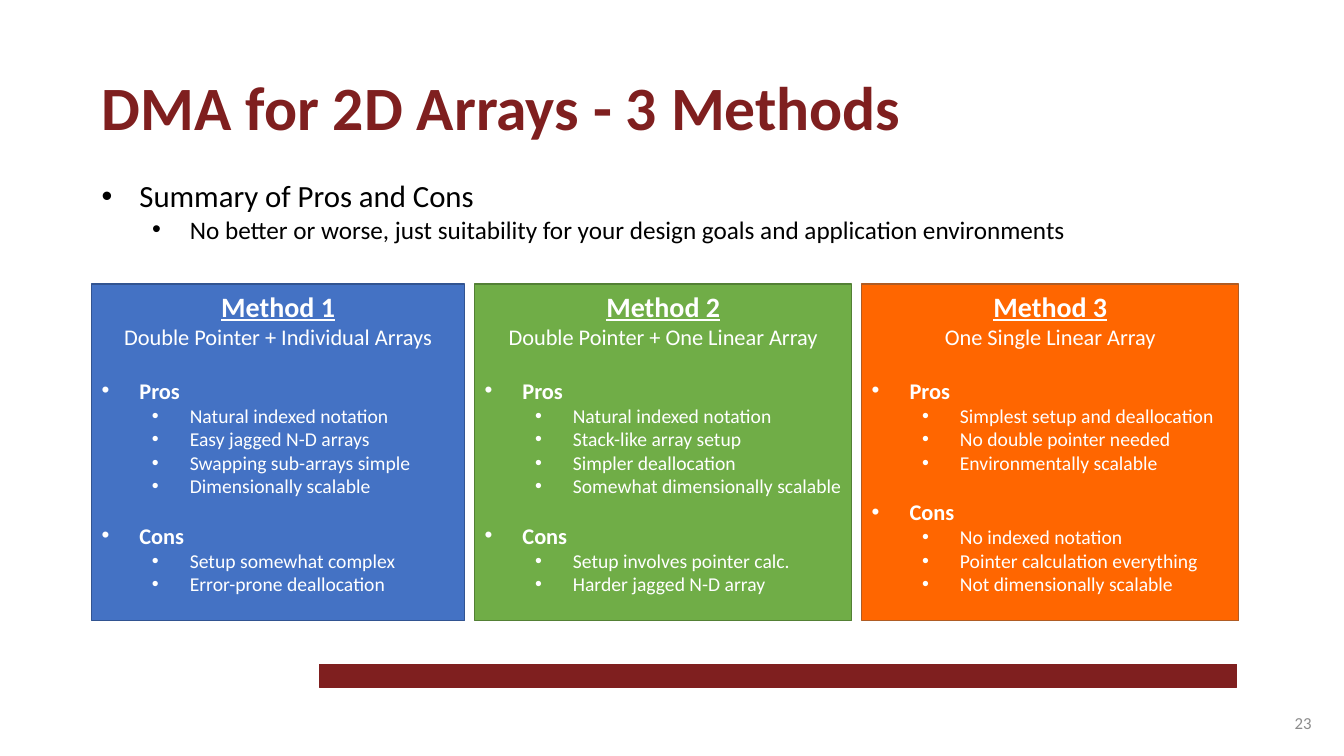
from lxml import etree
from pptx import Presentation
from pptx.dml.color import RGBColor
from pptx.enum.shapes import MSO_SHAPE
from pptx.enum.text import MSO_ANCHOR, PP_ALIGN
from pptx.oxml.ns import qn
from pptx.util import Pt

RECTANGLE = MSO_SHAPE.RECTANGLE
TOP, MIDDLE = MSO_ANCHOR.TOP, MSO_ANCHOR.MIDDLE
LEFT, CENTER, RIGHT = PP_ALIGN.LEFT, PP_ALIGN.CENTER, PP_ALIGN.RIGHT

COLORS = {
    "maroon": "7F1F1F", "black": "000000", "white": "FFFFFF", "gray": "8C8C8C",
    "blue": "4472C4", "blue edge": "325491",
    "green": "70AD47", "green edge": "538035",
    "orange": "FF6600", "orange edge": "AF5C24",
}

BULLET_HANG = 27
LEVEL_STEP = 36
PANEL_TOP, PANEL_HEIGHT, PANEL_GAP = 203, 240.5, 7.2
MARGIN = 65.5

# Name, subtitle, colour, panel width, pros, cons
METHODS = [
    ("Method 1", "Double Pointer + Individual Arrays", "blue", 266.4,
     ["Natural indexed notation", "Easy jagged N-D arrays",
      "Swapping sub-arrays simple", "Dimensionally scalable"],
     ["Setup somewhat complex", "Error-prone deallocation"]),
    ("Method 2", "Double Pointer + One Linear Array", "green", 269.3,
     ["Natural indexed notation", "Stack-like array setup",
      "Simpler deallocation", "Somewhat dimensionally scalable"],
     ["Setup involves pointer calc.", "Harder jagged N-D array"]),
    ("Method 3", "One Single Linear Array", "orange", 269.3,
     ["Simplest setup and deallocation", "No double pointer needed",
      "Environmentally scalable"],
     ["No indexed notation", "Pointer calculation everything",
      "Not dimensionally scalable"]),
]


class SlideBuilder:
    font_name = "Calibri"

    def __init__(self, slide):
        self.slide = slide

    def color(self, name):
        return RGBColor.from_string(COLORS[name])

    def rectangle(self, left, top, width, height, fill, edge):
        """Add a filled rectangle and return its text frame."""
        shape = self.slide.shapes.add_shape(
            RECTANGLE, Pt(left), Pt(top), Pt(width), Pt(height))
        shape.shadow.inherit = False
        shape.fill.solid()
        shape.fill.fore_color.rgb = self.color(fill)
        shape.line.color.rgb = self.color(edge)
        shape.line.width = Pt(1)
        return self.prepare(shape.text_frame)

    def text_box(self, left, top, width, height, anchor=TOP):
        box = self.slide.shapes.add_textbox(
            Pt(left), Pt(top), Pt(width), Pt(height))
        return self.prepare(box.text_frame, anchor)

    def prepare(self, frame, anchor=TOP):
        frame.word_wrap = True
        frame.vertical_anchor = anchor
        return frame

    def paragraph(self, frame, text, size, color, bold=False, underline=False,
                  align=LEFT, level=None, before=0, after=0):
        """Append a paragraph; a level of 0 or 1 gives it a bullet."""
        first = frame.paragraphs[0]
        line = frame.add_paragraph() if first.runs else first
        line.add_run().text = text
        line.alignment = align
        line.space_before, line.space_after = Pt(before), Pt(after)
        if level is not None:
            self.bullet(line, level)
        line.font.name = self.font_name
        line.font.size = Pt(size)
        line.font.bold = bold
        line.font.underline = underline
        line.font.color.rgb = self.color(color)

    def bullet(self, line, level):
        line.level = level
        properties = line._p.get_or_add_pPr()
        properties.set("marL", str(Pt(BULLET_HANG + LEVEL_STEP * level)))
        properties.set("indent", str(-Pt(BULLET_HANG)))
        etree.SubElement(properties, qn("a:buFont")).set("typeface", "Arial")
        etree.SubElement(properties, qn("a:buChar")).set("char", "•")

    def method_panel(self, left, width, name, subtitle, color, pros, cons):
        panel = self.rectangle(left, PANEL_TOP, width, PANEL_HEIGHT,
                               color, f"{color} edge")
        self.paragraph(panel, name, 20, "white", bold=True, underline=True,
                       align=CENTER)
        self.paragraph(panel, subtitle, 16, "white", align=CENTER, after=19.5)
        for heading, points, gap in (("Pros", pros, 0), ("Cons", cons, 17)):
            self.paragraph(panel, heading, 16, "white", bold=True, level=0,
                           before=gap)
            for point in points:
                self.paragraph(panel, point, 14, "white", level=1)


def main():
    deck = Presentation()
    deck.slide_width, deck.slide_height = Pt(960), Pt(540)
    builder = SlideBuilder(deck.slides.add_slide(deck.slide_layouts[6]))

    builder.rectangle(228.2, 474.5, 655.2, 16.6, "maroon", "maroon")

    title = builder.text_box(MARGIN, 46, 718.6, 60.5)
    builder.paragraph(title, "DMA for 2D Arrays - 3 Methods", 44, "maroon",
                      bold=True)

    summary = builder.text_box(MARGIN, 123, 828.7, 77.8)
    builder.paragraph(summary, "Summary of Pros and Cons", 22, "black", level=0)
    builder.paragraph(
        summary,
        "No better or worse, just suitability for your design goals "
        "and application environments", 18, "black", level=1)

    page_number = builder.text_box(728, 502, 216, 28.8, MIDDLE)
    builder.paragraph(page_number, "23", 12, "gray", align=RIGHT)

    left = MARGIN
    for name, subtitle, color, width, pros, cons in METHODS:
        builder.method_panel(left, width, name, subtitle, color, pros, cons)
        left += width + PANEL_GAP

    deck.save("out.pptx")


if __name__ == "__main__":
    main()
